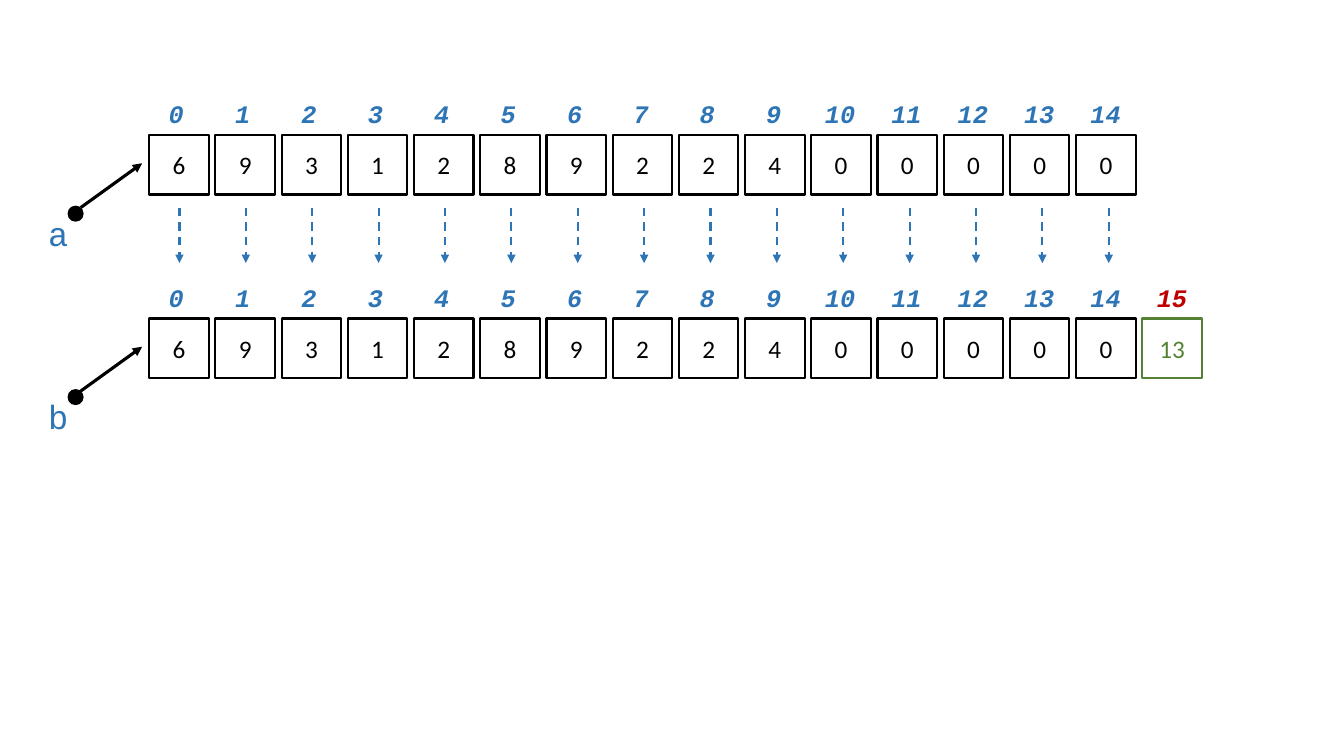
"""Draw array a being copied, cell by cell, into the longer array b."""
from dataclasses import dataclass

from lxml.etree import SubElement
from pptx import Presentation
from pptx.dml.color import RGBColor
from pptx.enum.dml import MSO_LINE
from pptx.enum.shapes import MSO_CONNECTOR, MSO_SHAPE
from pptx.enum.text import MSO_ANCHOR, MSO_AUTO_SIZE, PP_ALIGN
from pptx.oxml.ns import qn
from pptx.util import Inches, Pt

COPIED = [6, 9, 3, 1, 2, 8, 9, 2, 2, 4, 0, 0, 0, 0, 0]
APPENDED = [13]
ARRAYS = [("a", COPIED), ("b", COPIED + APPENDED)]


@dataclass(frozen=True)
class Theme:
    black: str = "000000"
    blue: str = "2E75B6"
    green: str = "548235"
    red: str = "C00000"
    value_font: str = "Calibri"
    code_font: str = "Courier New"
    cell_size: int = 18
    name_size: int = 24
    thin: float = 1.5
    thick: float = 2.25


THEME = Theme()
SLIDE_WIDTH, SLIDE_HEIGHT = 13.33, 7.5
FIRST_CELL, LAST_CELL = 1.48, 11.33
CELL = 0.59
CELL_PITCH = (LAST_CELL - FIRST_CELL) / len(COPIED)
FIRST_INDEX, FIRST_COPY, COPY_PITCH = 1.75, 1.78, 0.66 - 0.01 / 6
CELL_TOP, ROW_PITCH = 1.34, 1.82
INDEX_RISE, INDEX_HEIGHT = 0.41, 0.4
TEXT_MARGINS, DIGIT_WIDTH = 0.2, 0.15
COPY_START, COPY_END = 2.06, 2.61
DOT = 0.16


def write(shape, text, *, font, size, color, bold=False, italic=False,
          align=PP_ALIGN.LEFT, anchor=MSO_ANCHOR.TOP, grow=False):
    frame = shape.text_frame
    frame.word_wrap = not grow
    frame.auto_size = MSO_AUTO_SIZE.SHAPE_TO_FIT_TEXT if grow else MSO_AUTO_SIZE.NONE
    frame.vertical_anchor = anchor
    paragraph = frame.paragraphs[0]
    paragraph.alignment = align
    run = paragraph.add_run()
    run.text = text
    run.font.name, run.font.size = font, Pt(size)
    run.font.bold, run.font.italic = bold, italic
    run.font.color.rgb = RGBColor.from_string(color)


def box(left, top, width, height):
    return [Inches(length) for length in (left, top, width, height)]


def add_arrow(slide, start, end, color, weight, dash=None):
    arrow = slide.shapes.add_connector(MSO_CONNECTOR.STRAIGHT, *box(*start, *end))
    arrow.line.color.rgb = RGBColor.from_string(color)
    arrow.line.width = Pt(weight)
    if dash:
        arrow.line.dash_style = dash
    SubElement(arrow.line._get_or_add_ln(), qn("a:tailEnd"), type="triangle")
    SubElement(arrow._element.spPr, qn("a:effectLst"))


def add_cell(slide, column, top, value, color):
    cell = slide.shapes.add_shape(
        MSO_SHAPE.RECTANGLE, *box(FIRST_CELL + column * CELL_PITCH, top, CELL, CELL))
    cell.shadow.inherit = False
    cell.fill.background()
    cell.line.color.rgb = RGBColor.from_string(color)
    cell.line.width = Pt(THEME.thin)
    write(cell, str(value), font=THEME.value_font, size=THEME.cell_size, color=color,
          align=PP_ALIGN.CENTER, anchor=MSO_ANCHOR.MIDDLE)


def add_index(slide, column, top, color):
    index = str(column)
    width = TEXT_MARGINS + DIGIT_WIDTH * len(index)
    center = FIRST_INDEX + column * COPY_PITCH
    label = slide.shapes.add_textbox(
        *box(center - width / 2, top - INDEX_RISE, width, INDEX_HEIGHT))
    write(label, index, font=THEME.code_font, size=THEME.cell_size, color=color,
          bold=True, italic=True, grow=True)


def add_reference(slide, name, top):
    dot = slide.shapes.add_shape(MSO_SHAPE.OVAL, *box(0.67, top + 0.7, DOT, DOT))
    dot.shadow.inherit = False
    dot.fill.solid()
    dot.fill.fore_color.rgb = RGBColor.from_string(THEME.black)
    dot.line.fill.background()
    add_arrow(slide, (0.8, top + 0.72), (1.41, top + 0.28), THEME.black, THEME.thick)
    label = slide.shapes.add_textbox(*box(0.38, top + 0.72, 0.39, 0.5))
    write(label, name, font=THEME.code_font, size=THEME.name_size, color=THEME.blue,
          grow=True)


def add_array(slide, name, values, top):
    for column, value in enumerate(values):
        appended = column >= len(COPIED)
        add_cell(slide, column, top, value, THEME.green if appended else THEME.black)
        add_index(slide, column, top, THEME.red if appended else THEME.blue)
    add_reference(slide, name, top)


def main():
    deck = Presentation()
    deck.slide_width, deck.slide_height = Inches(SLIDE_WIDTH), Inches(SLIDE_HEIGHT)
    slide = deck.slides.add_slide(deck.slide_layouts.get_by_name("Blank"))
    for row, (name, values) in enumerate(ARRAYS):
        add_array(slide, name, values, CELL_TOP + row * ROW_PITCH)
    for column in range(len(COPIED)):
        center = FIRST_COPY + column * COPY_PITCH
        add_arrow(slide, (center, COPY_START), (center, COPY_END),
                  THEME.blue, THEME.thin, MSO_LINE.DASH)
    deck.save("out.pptx")


if __name__ == "__main__":
    main()
